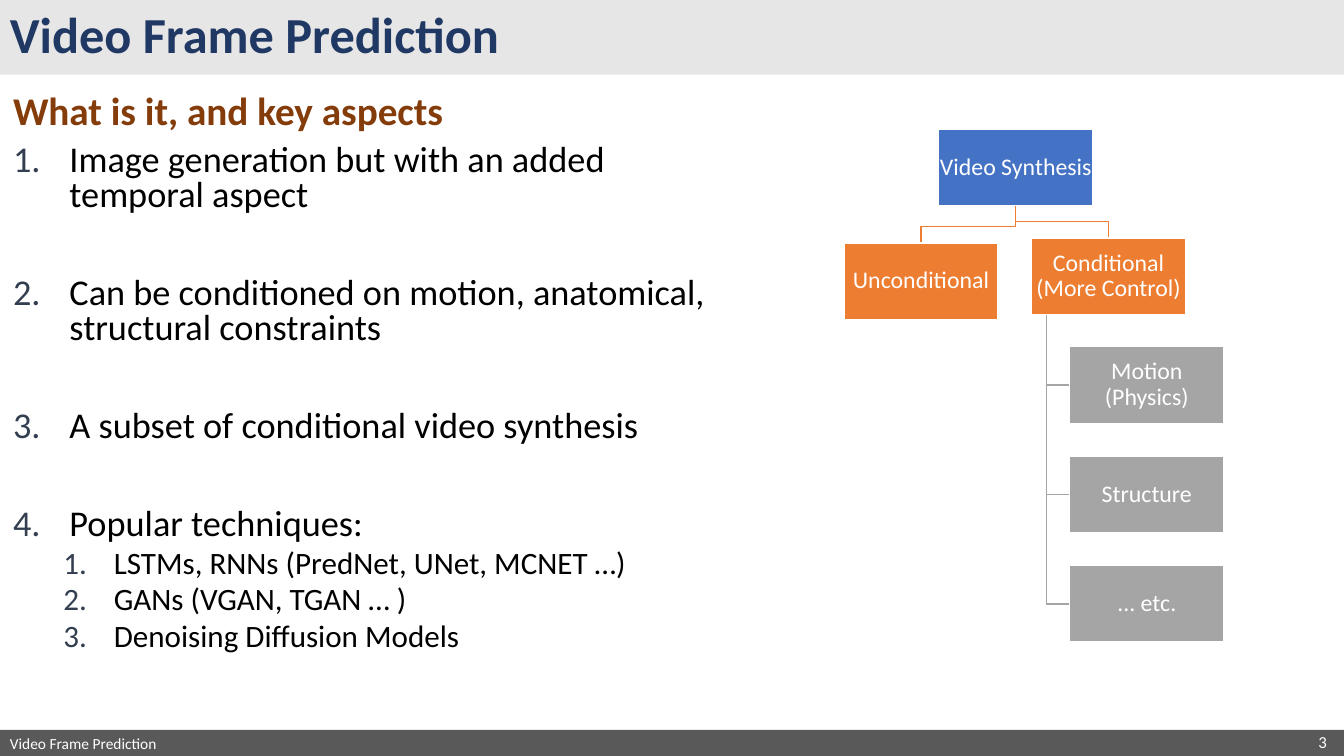
from dataclasses import dataclass

from lxml.etree import SubElement
from pptx import Presentation
from pptx.dml.color import RGBColor
from pptx.enum.shapes import MSO_SHAPE
from pptx.enum.text import MSO_ANCHOR as Anchor, PP_ALIGN as Align
from pptx.oxml.ns import qn
from pptx.util import Inches, Pt


@dataclass(frozen=True)
class Theme:
    font: str = "Calibri"
    white: str = "FFFFFF"
    black: str = "000000"
    title_band: str = "E7E6E6"
    footer_band: str = "595959"
    title: str = "203864"
    heading: str = "843C0B"
    number: str = "333F50"
    blue: str = "4472C4"
    orange: str = "ED7D31"
    gray: str = "A5A5A5"
    title_size: float = 36
    heading_size: float = 28
    item_size: float = 25.9
    technique_size: float = 22.2
    node_size: float = 17
    page_size: float = 12
    footer_size: float = 11


theme = Theme()
presentation = Presentation()
presentation.slide_width, presentation.slide_height = Inches(13.33), Inches(7.5)
slide = presentation.slides.add_slide(presentation.slide_layouts[6])

# The slide is a grid of 100 columns by 100 rows.
column = presentation.slide_width / 100
row = presentation.slide_height / 100


def add_box(left, top, width, height, fill=None, anchor=Anchor.MIDDLE):
    """Add a text box, or a filled rectangle when a fill is given, in grid units."""
    place = [round(n) for n in (left * column, top * row, width * column, height * row)]
    if fill:
        shape = slide.shapes.add_shape(MSO_SHAPE.RECTANGLE, *place)
        shape.shadow.inherit = False
        shape.fill.solid()
        shape.fill.fore_color.rgb = RGBColor.from_string(fill)
        shape.line.fill.background()
    else:
        shape = slide.shapes.add_textbox(*place)
    shape.text_frame.word_wrap = True
    shape.text_frame.vertical_anchor = anchor
    return shape


def write(paragraph, text, size, color, bold=False, align=Align.LEFT, spacing=0.9):
    paragraph.alignment = align
    paragraph.line_spacing = spacing
    for index, line in enumerate(text.split("\n")):
        if index:
            paragraph.add_line_break()
        run = paragraph.add_run()
        run.text = line
        run.font.name = theme.font
        run.font.size = Pt(size)
        run.font.bold = bold
        run.font.color.rgb = RGBColor.from_string(color)


# Title, heading, footer and page number
title_height, footer_height = 9.87, 3.47
footer_top = 100 - footer_height
text_left = 0.23
labels = [
    (add_box(0, footer_top, 100, footer_height, theme.footer_band),
     "Video Frame Prediction", theme.footer_size, theme.white, False, Align.LEFT, 1.0),
    (add_box(0, 0, 100, title_height, theme.title_band),
     "Video Frame Prediction", theme.title_size, theme.title, True, Align.LEFT, 0.9),
    (add_box(text_left, title_height, 97.9, 8.53, anchor=Anchor.BOTTOM),
     "What is it, and key aspects", theme.heading_size, theme.heading, True, Align.LEFT, 0.9),
    (add_box(76.97, 96.4, 22.5, footer_height),
     "3", theme.page_size, theme.white, False, Align.RIGHT, 1.0),
]
for label, *text_style in labels:
    write(label.text_frame.paragraphs[0], *text_style)

# Numbered list: level, space before, text
items = [
    (0, 0, "Image generation but with an added temporal aspect"),
    (0, 45, "Can be conditioned on motion, anatomical, structural constraints"),
    (0, 45, "A subset of conditional video synthesis"),
    (0, 45, "Popular techniques:"),
    (1, 5, "LSTMs, RNNs (PredNet, UNet, MCNET …)"),
    (1, 5, "GANs (VGAN, TGAN … )"),
    (1, 5, "Denoising Diffusion Models"),
]
level_styles = [(0.56, 0.56, theme.item_size), (1, 0.5, theme.technique_size)]
frame = add_box(text_left, 18.53, 54.76, 70.4, anchor=Anchor.TOP).text_frame
for index, (level, space_before, text) in enumerate(items):
    margin, hanging, size = level_styles[level]
    paragraph = frame.add_paragraph() if index else frame.paragraphs[0]
    paragraph.level = level
    paragraph.space_before = Pt(space_before)
    properties = paragraph._p.get_or_add_pPr()
    properties.set("marL", str(Inches(margin)))
    properties.set("indent", str(-Inches(hanging)))
    bullet_color = SubElement(properties, qn("a:buClr"))
    SubElement(bullet_color, qn("a:srgbClr"), val=theme.number)
    SubElement(properties, qn("a:buAutoNum"), type="arabicPeriod")
    write(paragraph, text, size, theme.black, spacing=0.8)

# Tree of video synthesis
node_width, node_height = 11.48, 10.13
leaf_left, leaf_top, leaf_step = 79.59, 45.87, 14.47
root = (69.84, 17.07)
unconditional = (62.79, 32.13)
conditional = (76.74, 31.47)
leaves = [(leaf_left, leaf_top + leaf_step * index) for index in range(3)]

branches = []
trunk_x = conditional[0] + node_width / 10
for left, top in reversed(leaves):
    middle = top + node_height / 2
    branches.append((theme.gray, [(trunk_x, conditional[1] + node_height),
                                  (trunk_x, middle), (left, middle)]))
root_x = root[0] + node_width / 2
for left, top in (conditional, unconditional):
    child_x, turn = left + node_width / 2, top - 2.13
    branches.append((theme.orange, [(root_x, root[1] + node_height), (root_x, turn),
                                    (child_x, turn), (child_x, top)]))

for color, points in branches:
    start, *rest = [(round(x * column), round(y * row)) for x, y in points]
    builder = slide.shapes.build_freeform(*start)
    builder.add_line_segments(rest, close=False)
    branch = builder.convert_to_shape()
    branch.shadow.inherit = False
    branch.fill.background()
    branch.line.color.rgb = RGBColor.from_string(color)
    branch.line.width = Pt(1)

nodes = [
    (root, theme.blue, "Video Synthesis"),
    (unconditional, theme.orange, "Unconditional"),
    (conditional, theme.orange, "Conditional\n(More Control)"),
    (leaves[0], theme.gray, "Motion (Physics)"),
    (leaves[1], theme.gray, "Structure"),
    (leaves[2], theme.gray, "... etc."),
]
for position, color, text in nodes:
    node = add_box(*position, node_width, node_height, color)
    node.line.color.rgb = RGBColor.from_string(theme.white)
    node.line.width = Pt(1)
    frame = node.text_frame
    frame.margin_left = frame.margin_right = Inches(0.01)
    frame.margin_top = frame.margin_bottom = Inches(0.01)
    write(frame.paragraphs[0], text, theme.node_size, theme.white, align=Align.CENTER)

presentation.save("out.pptx")
